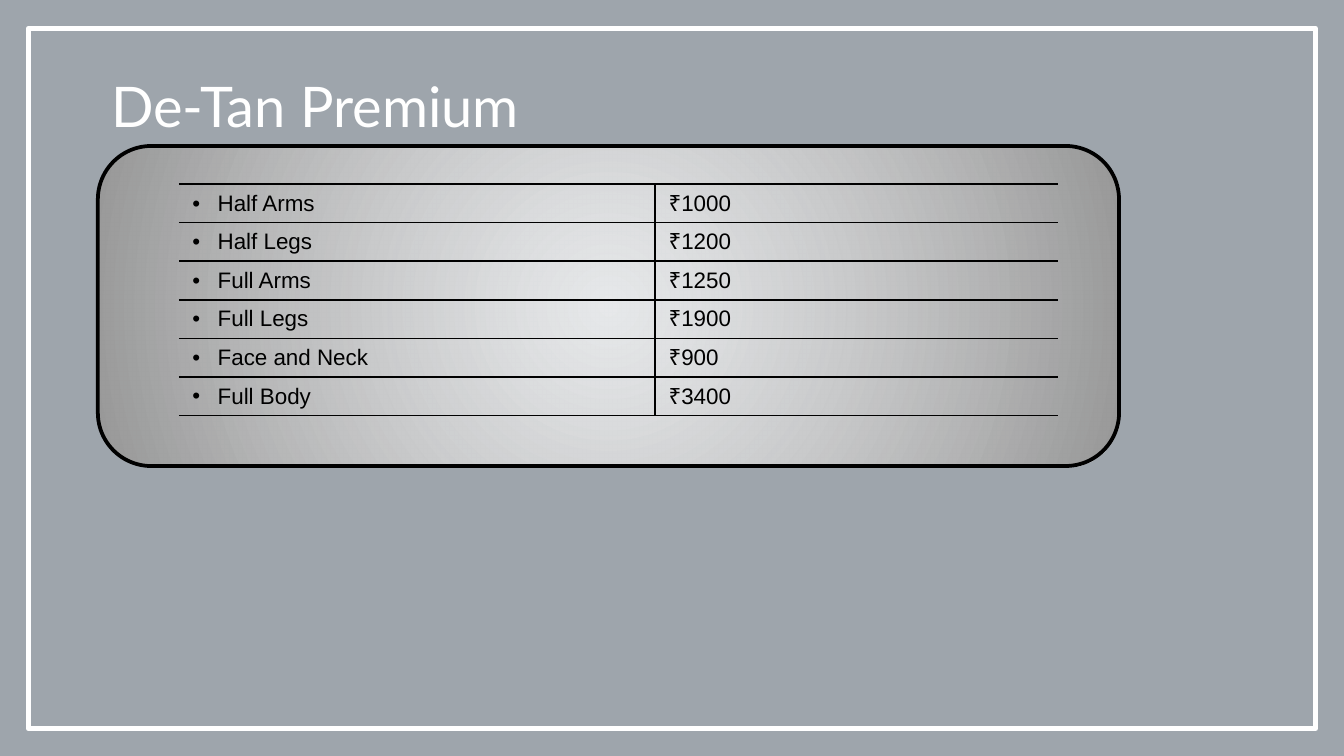
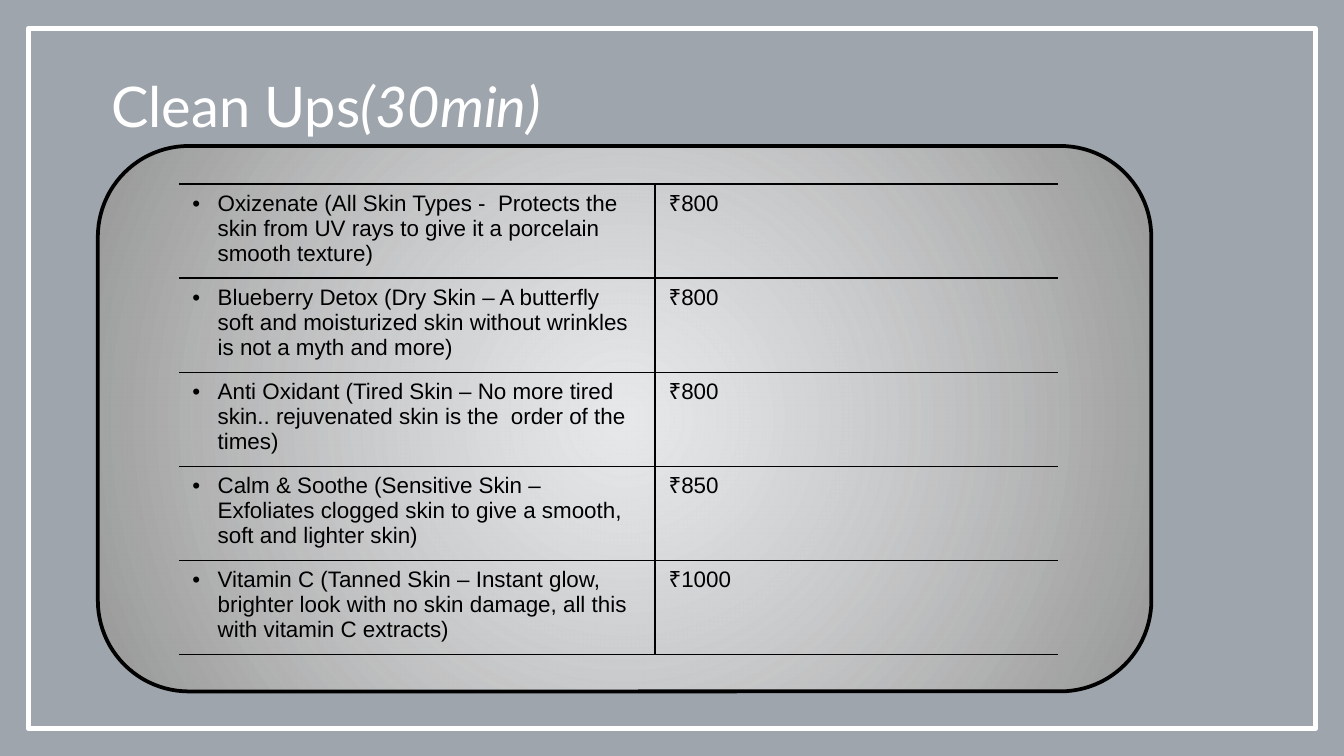
from pptx import Presentation
from pptx.dml.color import RGBColor
from pptx.enum.shapes import MSO_SHAPE
from pptx.oxml import parse_xml
from pptx.oxml.ns import nsdecls
from pptx.util import Cm, Pt

# Content: title runs as (text, italic), card size in cm, price rows
MENUS = [
    {
        "title": [("De-Tan Premium", False)],
        "card": (19.3, 6.05),
        "rows": [
            ("Half Arms", "₹1000"),
            ("Half Legs", "₹1200"),
            ("Full Arms", "₹1250"),
            ("Full Legs", "₹1900"),
            ("Face and Neck", "₹900"),
            ("Full Body", "₹3400"),
        ],
    },
    {
        "title": [("Clean Ups", False), ("(30min)", True)],
        "card": (19.91, 10.31),
        "rows": [
            ("Oxizenate (All Skin Types -  Protects the skin from UV rays "
             "to give it a porcelain smooth texture)", "₹800"),
            ("Blueberry Detox (Dry Skin – A butterfly soft and moisturized "
             "skin without wrinkles is not a myth and more)", "₹800"),
            ("Anti Oxidant (Tired Skin – No more tired skin.. rejuvenated "
             "skin is the  order of the times)", "₹800"),
            ("Calm & Soothe (Sensitive Skin – Exfoliates clogged skin to "
             "give a smooth, soft and lighter skin)", "₹850"),
            ("Vitamin C (Tanned Skin – Instant glow, brighter look with no "
             "skin damage, all this with vitamin C extracts)", "₹1000"),
        ],
    },
]

# Shared look
HEX = {"veil": "021526", "white": "FFFFFF", "edge": "979797", "ink": "000000"}
WIDE, HIGH = Cm(25.4), Cm(14.29)
LEFT = Cm(1.85)
COLS = (Cm(9), Cm(7.62))
ROW = Cm(0.51)
DENT = Cm(0.48)
NS = nsdecls("a")


def style(font, name, size, color):
    font.name = name
    font.size = Pt(size)
    font.color.rgb = RGBColor.from_string(HEX[color])


def add_box(slide, kind, left, top, width, height, line=None, weight=0):
    box = slide.shapes.add_shape(kind, left, top, width, height)
    box.shadow.inherit = False
    if line:
        box.line.color.rgb = RGBColor.from_string(HEX[line])
        box.line.width = Pt(weight)
    else:
        box.line.fill.background()
    return box


# Grey veil over the white page, with a white frame
def add_base(slide):
    veil = add_box(slide, MSO_SHAPE.RECTANGLE, 0, 0, WIDE, HIGH)
    veil.fill.solid()
    veil.fill.fore_color.rgb = RGBColor.from_string(HEX["veil"])
    tone = veil.fill._xPr.solidFill[0]
    tone.append(parse_xml(f'<a:alpha {NS} val="38000"/>'))
    gap = Cm(0.54)
    frame = add_box(slide, MSO_SHAPE.RECTANGLE, gap, gap,
                    WIDE - 2 * gap, Cm(13.23), "white", 3)
    frame.fill.background()


# Rounded card with a round glow
def add_card(slide, width, height):
    card = add_box(slide, MSO_SHAPE.ROUNDED_RECTANGLE, LEFT, Cm(2.76),
                   Cm(width), Cm(height), "ink", 2)
    glow = parse_xml(
        f'<a:gradFill {NS} rotWithShape="1"><a:gsLst>'
        f'<a:gs pos="0"><a:srgbClr val="{HEX["white"]}">'
        '<a:alpha val="75000"/></a:srgbClr></a:gs>'
        f'<a:gs pos="100000"><a:srgbClr val="{HEX["edge"]}"/></a:gs>'
        '</a:gsLst><a:path path="circle">'
        '<a:fillToRect l="50000" t="50000" r="50000" b="50000"/>'
        '</a:path></a:gradFill>')
    card._element.spPr.prstGeom.addnext(glow)


# Thin rules on all sides but the outer left and right
def add_rules(cell, bare):
    props = cell._tc.get_or_add_tcPr()
    for side in "LRTB":
        fill = ("<a:noFill/>" if side == bare else
                f'<a:solidFill><a:srgbClr val="{HEX["ink"]}"/></a:solidFill>')
        props.append(parse_xml(
            f'<a:ln{side} {NS} w="{Pt(1)}">{fill}</a:ln{side}>'))


def add_bullet(para):
    props = para._p.get_or_add_pPr()
    props.set("marL", str(DENT))
    props.set("indent", str(-DENT))
    for xml in (f'<a:buClr {NS}><a:srgbClr val="{HEX["ink"]}"/></a:buClr>',
                f'<a:buFont {NS} typeface="Arial"/>',
                f'<a:buChar {NS} char="•"/>'):
        props.append(parse_xml(xml))


def add_prices(slide, rows):
    table = slide.shapes.add_table(len(rows), len(COLS), Cm(3.38), Cm(3.48),
                                   sum(COLS), ROW * len(rows)).table
    table.first_row = table.horz_banding = False
    for col, width in zip(table.columns, COLS):
        col.width = width
    for r, row in enumerate(rows):
        table.rows[r].height = ROW
        for c, text in enumerate(row):
            cell = table.cell(r, c)
            add_rules(cell, "LR"[c])
            cell.fill.background()
            para = cell.text_frame.paragraphs[0]
            para.text = text
            if c == 0:
                add_bullet(para)
            style(para.runs[0].font, "Arial", 12, "ink")


def add_title(slide, parts):
    box = slide.shapes.add_textbox(LEFT, Cm(1.22), Cm(10.74), Cm(1.55))
    box.text_frame.word_wrap = True
    para = box.text_frame.paragraphs[0]
    for text, slant in parts:
        run = para.add_run()
        run.text = text
        style(run.font, "Lato", 30, "white")
        run.font.italic = slant


def main():
    deck = Presentation()
    deck.slide_width, deck.slide_height = WIDE, HIGH
    for menu in MENUS:
        slide = deck.slides.add_slide(deck.slide_layouts[6])
        add_base(slide)
        add_card(slide, *menu["card"])
        add_prices(slide, menu["rows"])
        add_title(slide, menu["title"])
    deck.save("out.pptx")


if __name__ == "__main__":
    main()
